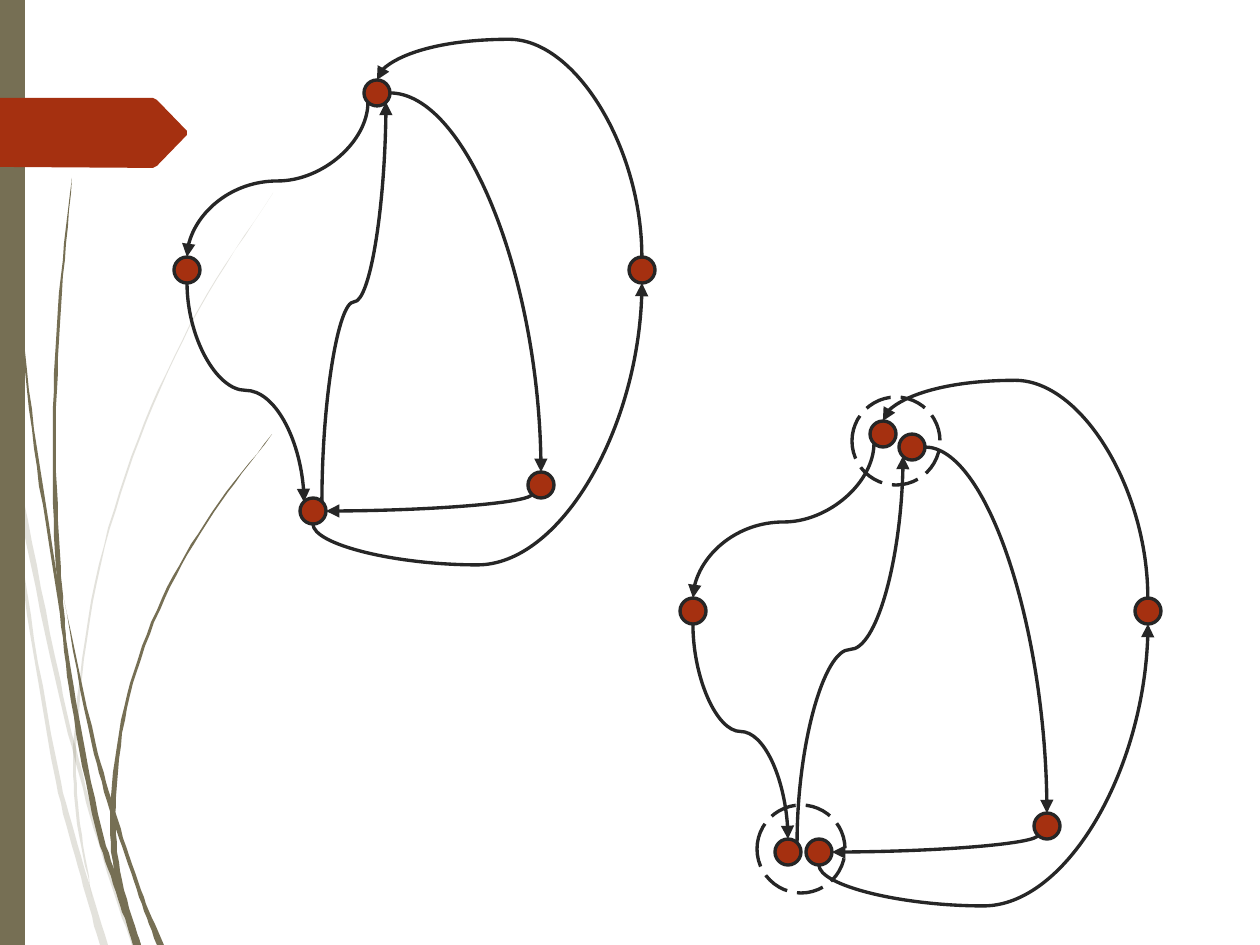
from lxml import etree
from pptx import Presentation
from pptx import util as u
from pptx.dml.color import RGBColor
from pptx.enum import dml, shapes
from pptx.oxml import ns

PX = 5690  # EMU in one pixel
HUES = {"olive": "766F54", "rust": "A53010", "ink": "262626"}
NODE, RING = 13, 44  # radii
STEPS = 8

deck = Presentation()
deck.slide_width, deck.slide_height = 1260 * PX, 945 * PX
slide = deck.slides.add_slide(deck.slide_layouts[6])
draw = slide.shapes


def paint(shape, fill=None, line=None):
    """Set the fill and outline of a shape and drop its shadow."""
    shape.shadow.inherit = False
    if fill:
        shape.fill.solid()
        shape.fill.fore_color.rgb = RGBColor.from_string(HUES[fill])
    else:
        shape.fill.background()
    if line:
        shape.line.color.rgb = RGBColor.from_string(HUES[line])
        shape.line.width = u.Pt(1.5)
    else:
        shape.line.fill.background()
    return shape


def outline(points, fill):
    """Draw a closed filled outline through pixel points."""
    pen = draw.build_freeform(*points[0], scale=PX)
    pen.add_line_segments(points[1:], close=True)
    return paint(pen.convert_to_shape(), fill)


# Grass blades: opacity in percent, then rows of y, left edge, right edge
blades = [
    (20, [(436, 13, 13), (474, 14, 19), (656, 50, 55), (760, 75, 79),
          (872, 107, 111), (945, 132, 135)]),
    (20, [(442, 10, 10), (591, 24, 27), (782, 56, 61), (867, 78, 84),
          (945, 100, 108)]),
    (20, [(193, 273, 273), (308, 199, 200), (439, 138, 140), (582, 95, 97),
          (736, 74, 77), (814, 76, 79), (897, 92, 92)]),
    (100, [(0, 3, 3), (138, 6, 8), (293, 18, 19), (448, 34, 37), (601, 58, 61),
           (701, 71, 76), (830, 96, 102), (892, 116, 122), (945, 133, 141)]),
    (100, [(595, 63, 63), (745, 92, 96), (820, 113, 118), (890, 137, 141),
           (945, 157, 164)]),
    (100, [(178, 72, 72), (309, 58, 61), (440, 53, 56), (568, 56, 61),
           (636, 64, 66)]),
    (100, [(434, 272, 272), (512, 212, 214), (598, 162, 165), (695, 127, 130),
           (797, 111, 116), (871, 114, 120), (945, 137, 141)]),
]
for alpha, rows in blades:
    sides = []
    for side in (1, 2):
        knots = [(row[0], row[side]) for row in rows]
        slopes = []
        for i in range(len(knots)):
            (y0, x0), (y1, x1) = knots[max(i - 1, 0)], knots[min(i + 1, len(knots) - 1)]
            slopes.append((x1 - x0) / (y1 - y0))
        curve = []
        for (y0, x0), (y1, x1), m0, m1 in zip(knots, knots[1:], slopes, slopes[1:]):
            gap = y1 - y0
            for step in range(STEPS):
                t = step / STEPS
                x = (x0 + (x1 - x0) * t * t * (3 - 2 * t)
                     + gap * t * (1 - t) * (m0 * (1 - t) - m1 * t))
                curve.append((x, y0 + gap * t))
        sides.append(curve + [(knots[-1][1], knots[-1][0])])
    blade = outline(sides[0] + sides[1][::-1], "olive")
    if alpha < 100:
        tint = blade.fill._xPr.find(".//" + ns.qn("a:srgbClr"))
        etree.SubElement(tint, ns.qn("a:alpha"), val=str(alpha * 1000))

bar = draw.add_shape(shapes.MSO_SHAPE.RECTANGLE, 0, 0, 25 * PX, 945 * PX)
paint(bar, "olive")
outline([(0, 98), (153, 98), (157, 100), (187, 131), (187, 135),
         (157, 166), (153, 168), (0, 167)], "rust")

# Graphs: the second one splits the top and low nodes in two
nodes = {"top": (377, 93), "left": (187, 270), "low": (313, 511),
         "near": (541, 485), "far": (642, 270)}
split = {**nodes, "top2": (406, 106), "low2": (282, 511)}
rings = [(390, 100), (295, 508)]

# Edges: start node, offset, end node, offset, bend (None for a quarter turn)
D = 9  # diagonal offset on a node's rim
edges = [
    ("top", (-D, D), "left", (0, -NODE), 0.51),
    ("left", (0, NODE), "low", (-D, -D), 0.49),
    ("low", (D, -D), "top", (D, D), 0.5),
    ("top", (NODE, 0), "near", (0, -NODE), None),
    ("near", (-D, D), "low", (NODE, 0), None),
    ("low", (0, NODE), "far", (0, NODE), -0.17),
    ("far", (0, -NODE), "top", (0, -NODE), 1.23),
]
parted = edges[:]
parted[1] = ("left", (0, NODE), "low2", (0, -NODE), 0.5)
parted[2] = ("low2", (D, -D), "top2", (-D, D), 0.5)
parted[3] = ("top2", (NODE, 0), "near", (0, -NODE), None)

for left, top, spots, hoops, links in [(0, 0, nodes, [], edges),
                                       (506, 341, split, rings, parted)]:
    discs = [(spot, NODE, "rust") for spot in spots.values()]
    discs += [(hoop, RING, None) for hoop in hoops]
    for (x, y), r, fill in discs:
        disc = draw.add_shape(shapes.MSO_SHAPE.OVAL, (left + x - r) * PX,
                              (top + y - r) * PX, 2 * r * PX, 2 * r * PX)
        paint(disc, fill, "ink")
        if not fill:
            disc.line.dash_style = dml.MSO_LINE.LONG_DASH

    for tail, out, head, into, bend in links:
        x0, y0 = (left + spots[tail][0] + out[0], top + spots[tail][1] + out[1])
        x1, y1 = (left + spots[head][0] + into[0], top + spots[head][1] + into[1])
        turned = out[1] != 0  # leaves vertically: lay flat, then turn by 90 degrees
        if turned:
            mx, my, dx, dy = (x0 + x1) / 2, (y0 + y1) / 2, (x1 - x0) / 2, (y1 - y0) / 2
            x0, y0, x1, y1 = mx - dy, my + dx, mx + dy, my - dx
        edge = draw.add_connector(shapes.MSO_CONNECTOR.CURVE,
                                  *(int(v * PX) for v in (x0, y0, x1, y1)))
        edge.line.color.rgb = RGBColor.from_string(HUES["ink"])
        edge.line.width = u.Pt(1.5)
        props = edge._element.spPr
        if turned:
            props.find(ns.qn("a:xfrm")).set("rot", "5400000")
        geom = props.find(ns.qn("a:prstGeom"))
        if bend is None:
            geom.set("prst", "curvedConnector2")
        else:
            guides = geom.find(ns.qn("a:avLst"))
            etree.SubElement(guides, ns.qn("a:gd"), name="adj1",
                             fmla=f"val {round(bend * 100000)}")
        etree.SubElement(props.find(ns.qn("a:ln")), ns.qn("a:tailEnd"), type="triangle")
        etree.SubElement(props, ns.qn("a:effectLst"))

deck.save("out.pptx")
